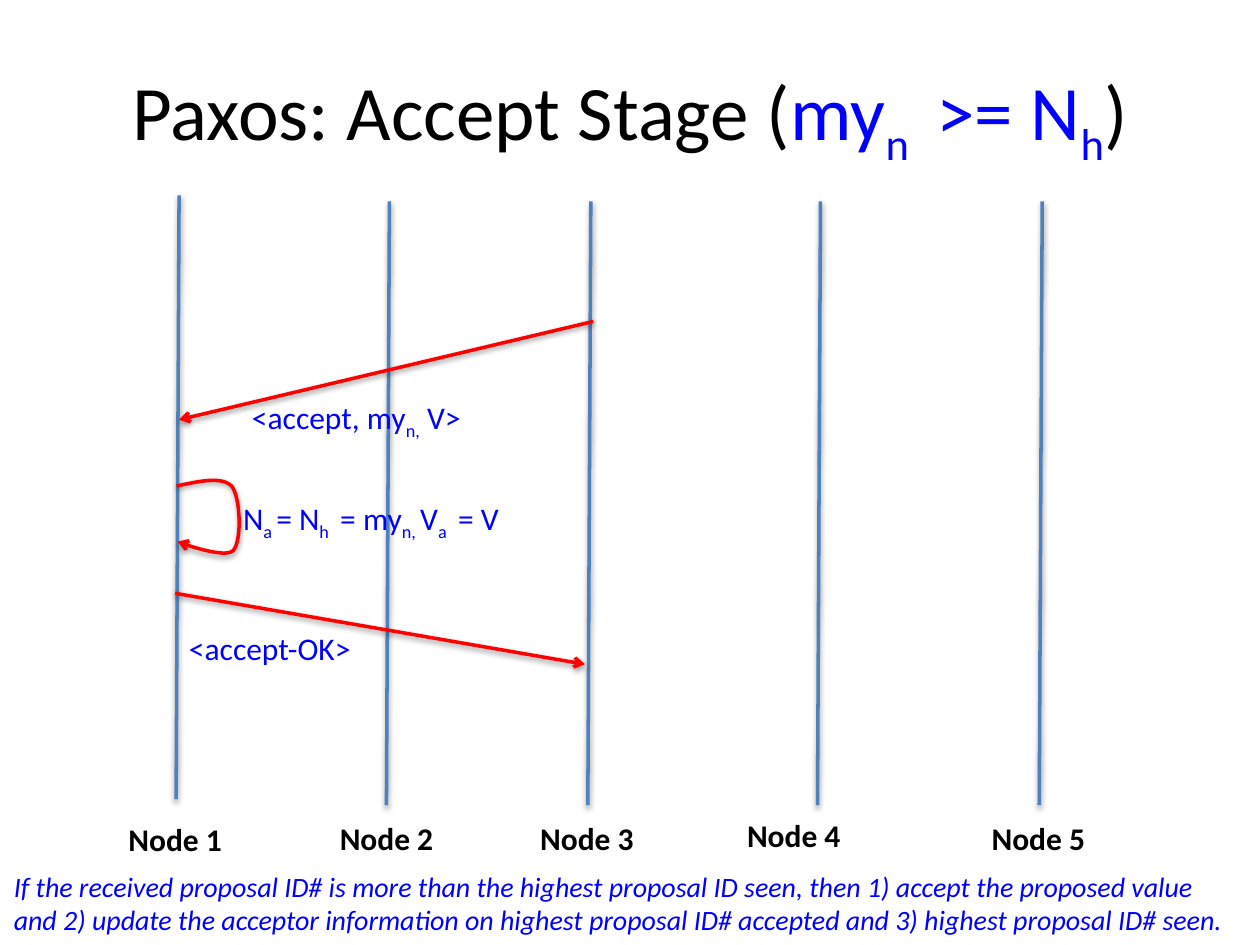
from lxml import etree
from pptx import Presentation
from pptx.dml.color import RGBColor
from pptx.enum.shapes import MSO_CONNECTOR
from pptx.enum.text import MSO_ANCHOR, PP_ALIGN
from pptx.oxml import parse_xml
from pptx.oxml.ns import nsdecls, qn
from pptx.util import Cm, Pt

BLACK = RGBColor(0x00, 0x00, 0x00)
BLUE = RGBColor(0x00, 0x00, 0xFF)
RED = RGBColor(0xFF, 0x00, 0x00)
STEEL = RGBColor(0x4F, 0x81, 0xBD)

SHADOW = (
    f'<a:effectLst {nsdecls("a")}>'
    '<a:outerShdw blurRad="40000" dist="20000" dir="5400000" rotWithShape="0">'
    '<a:srgbClr val="000000"><a:alpha val="38000"/></a:srgbClr>'
    '</a:outerShdw></a:effectLst>'
)


def bezier(p0, p1, p2, p3, steps=16):
    """Points along a cubic curve, without its start."""
    for i in range(1, steps + 1):
        t = i / steps
        u = 1 - t
        yield tuple(u**3 * a + 3 * u * u * t * b + 3 * u * t * t * c + t**3 * d
                    for a, b, c, d in zip(p0, p1, p2, p3))


class Diagram:
    font = "Calibri"
    line_width = Pt(2)

    def __init__(self, slide):
        self.s = slide

    def text(self, box, paragraphs, size=18, color=BLUE, bold=False, italic=False,
             align=PP_ALIGN.LEFT, anchor=MSO_ANCHOR.TOP, wrap=False):
        """Each paragraph is a list of runs: text, or (text, subscript, color)."""
        sp = self.s.shapes.add_textbox(*map(Cm, box))
        tf = sp.text_frame
        tf.word_wrap = wrap
        tf.vertical_anchor = anchor
        for i, runs in enumerate(paragraphs):
            p = tf.add_paragraph() if i else tf.paragraphs[0]
            p.alignment = align
            f = p.font
            f.name, f.size, f.bold, f.italic = self.font, Pt(size), bold, italic
            f.color.rgb = color
            for run in runs:
                words, sub, tint = (run, False, None) if isinstance(run, str) else run
                r = p.add_run()
                r.text = words
                if sub:
                    r.font._element.set("baseline", "-25000")
                if tint is not None:
                    r.font.color.rgb = tint

    def stroke(self, sp, color, arrow):
        sp.line.color.rgb = color
        sp.line.width = self.line_width
        if arrow:
            etree.SubElement(sp.line._get_or_add_ln(), qn("a:tailEnd"), type="arrow")
        sp._element.spPr.append(parse_xml(SHADOW))

    def line(self, start, end, color, arrow=False):
        sp = self.s.shapes.add_connector(MSO_CONNECTOR.STRAIGHT, *map(Cm, start + end))
        self.stroke(sp, color, arrow)

    def curve(self, start, segments, color):
        points = [start]
        for seg in segments:
            points += bezier(points[-1], *seg)
        emu = [(Cm(x), Cm(y)) for x, y in points]
        fb = self.s.shapes.build_freeform(*emu[0])
        fb.add_line_segments(emu[1:], close=False)
        sp = fb.convert_to_shape()
        sp.fill.background()
        self.stroke(sp, color, arrow=True)


def sub(words, tint=None):
    return words, True, tint


def main():
    prs = Presentation()
    prs.slide_width, prs.slide_height = Cm(25.4), Cm(19.05)
    d = Diagram(prs.slides.add_slide(prs.slide_layouts[6]))

    # Title
    d.text((1.27, 0.76, 22.86, 3.18),
           [["Paxos: Accept Stage (", ("my", False, BLUE), sub("n ", BLUE),
             (" >= N", False, BLUE), sub("h", BLUE), ")"]],
           size=44, color=BLACK, align=PP_ALIGN.CENTER,
           anchor=MSO_ANCHOR.MIDDLE, wrap=True)

    # Node timelines: line x, line top, label x, label top
    nodes = [(3.61, 3.94, 2.34, 16.41), (7.85, 4.06, 6.6, 16.38),
             (11.91, 4.06, 10.64, 16.38), (16.54, 4.06, 14.81, 16.33),
             (21.01, 4.06, 19.74, 16.38)]
    for n, (x, top, label_x, label_top) in enumerate(nodes, 1):
        d.line((x, top), (x - 0.06, top + 12.17), STEEL)
        d.text((label_x, label_top, 2.41, 1.02), [[f"Node {n}"]], color=BLACK, bold=True)

    # Accept request
    d.line((11.96, 6.48), (3.61, 8.46), RED, arrow=True)
    d.text((4.83, 7.9, 4.98, 1.8), [["<accept, my", sub("n,"), " V>"]])

    # Acceptor updates its state
    d.curve((3.56, 9.8),
            [((4.01, 9.7), (4.47, 9.6), (4.67, 9.8)),
             ((4.85, 10.03), (4.88, 10.9), (4.7, 11.1)),
             ((4.52, 11.28), (3.58, 10.92), (3.58, 10.92))], RED)
    d.text((4.65, 9.93, 5.92, 1.02),
           [["N", sub("a "), "= N", sub("h "), " = my", sub("n, "), "V", sub("a "), " = V"]])

    # Reply
    d.line((3.53, 11.96), (11.79, 13.39), RED, arrow=True)
    d.text((3.56, 12.55, 3.84, 1.8), [["<accept-OK>"]])

    # Explanation
    d.text((0.03, 17.4, 25.37, 1.63),
           [["If the received proposal ID# is more than the highest proposal ID seen, "
             "then 1) accept the proposed value"],
            ["and 2) update the acceptor information on highest proposal ID# accepted "
             "and 3) highest proposal ID# seen."]],
           size=16, italic=True)

    prs.save("out.pptx")


if __name__ == "__main__":
    main()
